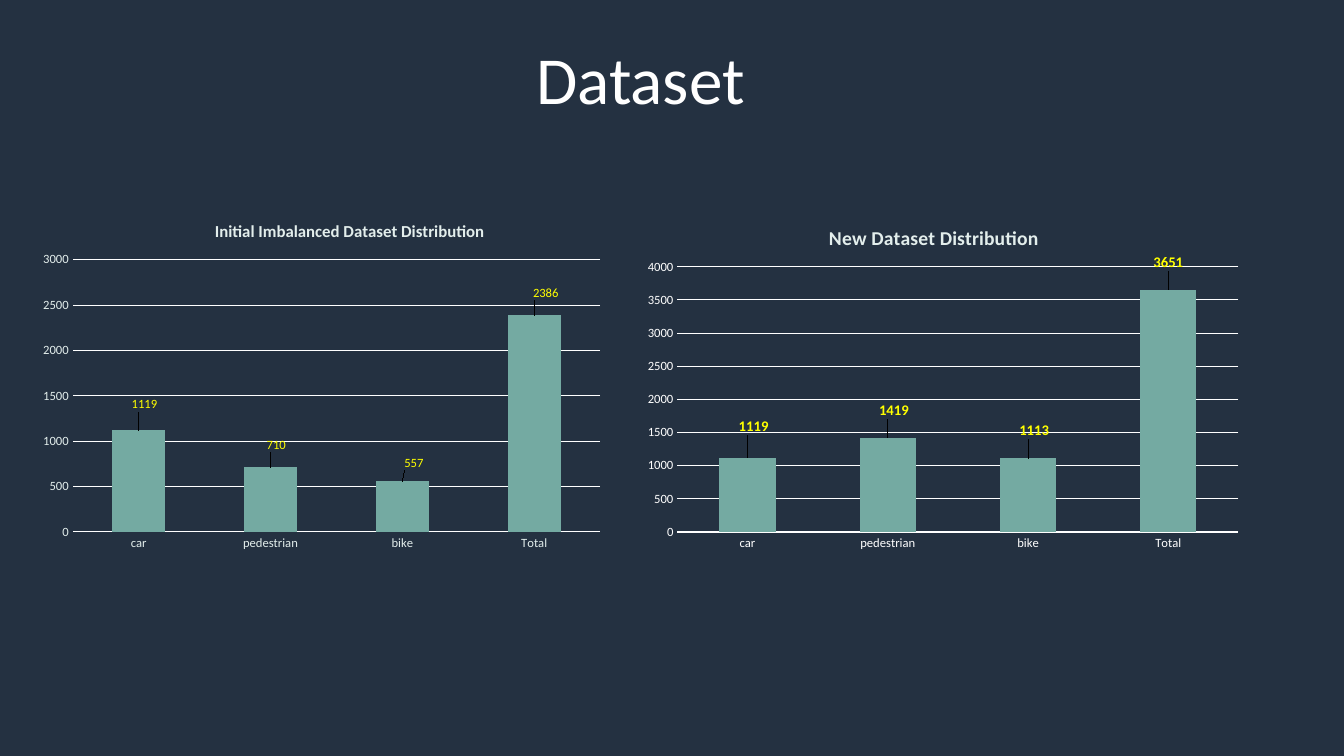
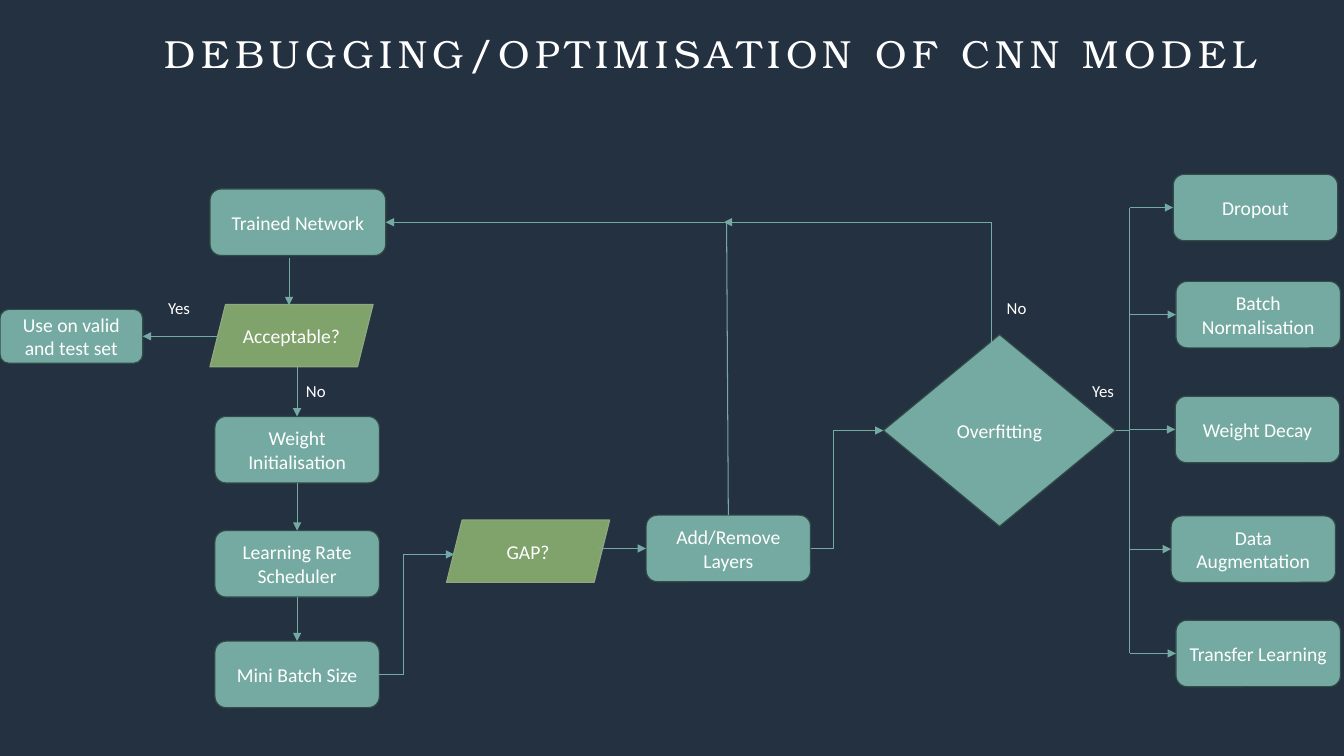
from dataclasses import dataclass
from typing import Any

from lxml.etree import SubElement
from pptx import Presentation
from pptx.chart.data import CategoryChartData
from pptx.dml.color import RGBColor
from pptx.enum.chart import XL_CHART_TYPE, XL_LABEL_POSITION, XL_TICK_MARK
from pptx.enum.shapes import MSO_CONNECTOR, MSO_SHAPE
from pptx.enum.text import MSO_ANCHOR, PP_ALIGN
from pptx.oxml import parse_xml
from pptx.oxml.ns import nsdecls, qn
from pptx.util import Pt

NAVY = RGBColor(0x24, 0x31, 0x41)
WHITE = RGBColor(0xFF, 0xFF, 0xFF)
MIST = RGBColor(0xE3, 0xEE, 0xEC)
TEAL = RGBColor(0x74, 0xAA, 0xA2)
TEAL_EDGE = RGBColor(0x33, 0x4B, 0x47)
GREEN = RGBColor(0x80, 0xA2, 0x6B)
GREEN_EDGE = RGBColor(0x8F, 0xA8, 0x80)
YELLOW = RGBColor(0xFF, 0xFF, 0x00)

BODY_FONT = "Calibri"
TITLE_FONT = "TeX Gyre Bonum"
TOP, LEFT, BOTTOM, RIGHT = range(4)
STEP_SIZE = (117.5, 47.5)
DECISION_SIZE = (116.5, 44.5)


@dataclass
class Side:
    """Middle of one side of a shape, where a connector joins."""
    shape: Any
    site: int

    @property
    def point(self):
        across, down = ((0.5, 0), (0, 0.5), (0.5, 1), (1, 0.5))[self.site]
        shape = self.shape
        return ((shape.left + across * shape.width) / Pt(1),
                (shape.top + down * shape.height) / Pt(1))


def style_font(font, size, color, name=BODY_FONT, bold=False):
    font.size, font.name, font.bold = Pt(size), name, bold
    font.color.rgb = color


def write(frame, text, *, size, color=WHITE, font=BODY_FONT, bold=False,
          align=None, tracking=0):
    paragraph = frame.paragraphs[0]
    paragraph.alignment = align
    run = paragraph.add_run()
    run.text = text
    style_font(run.font, size, color, font, bold)
    if tracking:
        run._r.get_or_add_rPr().set("spc", str(tracking * 100))


def set_layout(parent, index, x, y, size=None):
    """Place a chart part by fractions; without a size, x and y are as given."""
    for old in parent.findall(qn("c:layout")):
        parent.remove(old)
    layout = parse_xml(f"<c:layout {nsdecls('c')}><c:manualLayout/></c:layout>")
    values = {"x": x, "y": y}
    if size:
        values = {"layoutTarget": "inner", "xMode": "edge", "yMode": "edge",
                  **values, "w": size[0], "h": size[1]}
    elif parent.tag == qn("c:title"):
        values = {"xMode": "edge", "yMode": "edge", **values}
    for tag, value in values.items():
        SubElement(layout[0], qn(f"c:{tag}")).set("val", str(value))
    parent.insert(index, layout)


class Deck:
    def __init__(self):
        self.presentation = Presentation()
        self.presentation.slide_width = Pt(960)
        self.presentation.slide_height = Pt(540)
        backdrop = self.presentation.slide_master.background.fill
        backdrop.solid()
        backdrop.fore_color.rgb = NAVY
        self.slide = None

    def new_slide(self):
        self.slide = self.presentation.slides.add_slide(
            self.presentation.slide_layouts[6])

    def text(self, text, left, top, width, height, inset=True, **style):
        frame = self.slide.shapes.add_textbox(
            Pt(left), Pt(top), Pt(width), Pt(height)).text_frame
        frame.word_wrap = True
        if not inset:
            frame.margin_left = frame.margin_right = 0
            frame.margin_top = frame.margin_bottom = 0
        write(frame, text, **style)

    def node(self, text, left, top, size=STEP_SIZE,
             kind=MSO_SHAPE.ROUNDED_RECTANGLE, fill=TEAL, edge=TEAL_EDGE):
        node = self.slide.shapes.add_shape(
            kind, Pt(left), Pt(top), Pt(size[0]), Pt(size[1]))
        node.shadow.inherit = False
        node.fill.solid()
        node.fill.fore_color.rgb = fill
        node.line.color.rgb = edge
        node.line.width = Pt(0.85)
        frame = node.text_frame
        frame.word_wrap = True
        frame.vertical_anchor = MSO_ANCHOR.MIDDLE
        write(frame, text, size=14, align=PP_ALIGN.CENTER)
        return node

    def decision(self, text, left, top):
        return self.node(text, left, top, DECISION_SIZE,
                         MSO_SHAPE.PARALLELOGRAM, GREEN, GREEN_EDGE)

    def link(self, start, end, arrow=True):
        """Draw a line between two points, each an (x, y) pair or a Side."""
        points = [at.point if isinstance(at, Side) else at for at in (start, end)]
        link = self.slide.shapes.add_connector(
            MSO_CONNECTOR.STRAIGHT, *(Pt(value) for xy in points for value in xy))
        if isinstance(start, Side):
            link.begin_connect(start.shape, start.site)
        if isinstance(end, Side):
            link.end_connect(end.shape, end.site)
        link.line.color.rgb = TEAL
        link.line.width = Pt(0.75)
        if arrow:
            SubElement(link.line._get_or_add_ln(), qn("a:tailEnd"), type="triangle")
        SubElement(link._element.spPr, qn("a:effectLst"))

    def column_chart(self, title, values, left, width, *, title_size, title_at,
                     plot_at, plot_size, axis_color, axis_line, top_value,
                     label_size, label_bold, label_shifts):
        data = CategoryChartData()
        data.categories = ["car", "pedestrian", "bike", "Total"]
        data.add_series("Series 1", values)
        chart = self.slide.shapes.add_chart(
            XL_CHART_TYPE.COLUMN_CLUSTERED, Pt(left), Pt(142), Pt(width), Pt(256),
            data).chart
        style_font(chart.font, 10, WHITE)
        chart.has_legend = False
        chart.has_title = True
        write(chart.chart_title.text_frame, title, size=title_size, color=MIST,
              bold=True)
        set_layout(chart.element.xpath(".//c:title")[0], 1, *title_at)
        set_layout(chart.element.xpath(".//c:plotArea")[0], 0, *plot_at, plot_size)

        for axis in (chart.category_axis, chart.value_axis):
            axis.major_tick_mark = axis.minor_tick_mark = XL_TICK_MARK.NONE
            style_font(axis.tick_labels.font, 9, axis_color)
            axis.format.line.fill.background()
        if axis_line:
            chart.category_axis.format.line.color.rgb = WHITE
            chart.category_axis.format.line.width = Pt(1)
        scale = chart.value_axis
        scale.minimum_scale, scale.maximum_scale = 0, top_value
        scale.major_unit = 500
        scale.has_major_gridlines = True
        scale.major_gridlines.format.line.color.rgb = WHITE
        scale.major_gridlines.format.line.width = Pt(0.75)

        plot = chart.plots[0]
        plot.gap_width = 150
        plot.vary_by_categories = False
        columns = plot.series[0]
        columns.format.fill.solid()
        columns.format.fill.fore_color.rgb = TEAL
        for index in range(len(values)):
            label = columns.points[index].data_label
            style_font(label.font, label_size, YELLOW, bold=label_bold)
            label.position = XL_LABEL_POSITION.OUTSIDE_END
        for label, shift in zip(chart.element.xpath(".//c:dLbl"), label_shifts):
            set_layout(label, 1, *shift)


def build_dataset(deck):
    deck.new_slide()
    deck.text("Dataset", 376, 23, 584, 65.5, size=48)
    deck.column_chart(
        "New Dataset Distribution", (1119, 1419, 1113, 3651), 453, 440.5,
        title_size=14, title_at=(0.31, 0.06),
        plot_at=(0.07, 0.19), plot_size=(0.91, 0.74),
        axis_color=WHITE, axis_line=True, top_value=4000,
        label_size=10.5, label_bold=True,
        label_shifts=((0.01, -0.05), (0.01, -0.04), (0.01, -0.04), (0, -0.04)))
    deck.column_chart(
        "Initial Imbalanced Dataset Distribution", (1119, 710, 557, 2386), 23, 414,
        title_size=12, title_at=(0.31, 0.05),
        plot_at=(0.07, 0.17), plot_size=(0.91, 0.76),
        axis_color=MIST, axis_line=False, top_value=3000,
        label_size=9, label_bold=False,
        label_shifts=((0.01, -0.04), (0.01, -0.03), (0.02, -0.02), (0.02, -0.03)))


def build_debugging(deck):
    deck.new_slide()
    deck.text("DEBUGGING/OPTIMISATION OF CNN MODEL", 117.5, 21, 790, 52,
              inset=False, size=28, font=TITLE_FONT, tracking=4)

    trained = deck.node("Trained Network", 150, 135, (125.5, 47.5))
    deck.decision("Acceptable?", 150, 217.5)
    in_use = deck.node("Use on valid and test set", 0, 221, (102, 38.5))
    weights, rate, batch = [
        deck.node(text, 153.5, top) for text, top in (
            ("Weight Initialisation", 297.5),
            ("Learning Rate Scheduler", 379),
            ("Mini Batch Size", 458))]
    deck.decision("GAP?", 319, 371.5)
    layers = deck.node("Add/Remove Layers", 461.5, 368)
    overfitting = deck.node("Overfitting", 631, 239, (166, 137), MSO_SHAPE.DIAMOND)

    # Training column
    deck.link((206.5, 184.5), (206.5, 218))
    deck.link((155.5, 240.25), Side(in_use, RIGHT))
    deck.link((212.25, 262.5), Side(weights, TOP))
    deck.link(Side(weights, BOTTOM), Side(rate, TOP))
    deck.link(Side(rate, BOTTOM), Side(batch, TOP))

    # Batch size to overfitting
    deck.link(Side(batch, RIGHT), (288.5, 481.75), arrow=False)
    deck.link((288.5, 481.75), (288.5, 396), arrow=False)
    deck.link((288.5, 396), (324.5, 396))
    deck.link((427, 391.75), Side(layers, LEFT))
    deck.link(Side(layers, RIGHT), (595.5, 391.75), arrow=False)
    deck.link((595.5, 391.75), (595.5, 307.5), arrow=False)
    deck.link((595.5, 307.5), Side(overfitting, LEFT))

    # Return to the trained network
    return_y = 158.75
    deck.link(Side(layers, TOP), (519, return_y), arrow=False)
    deck.link((517, return_y), Side(trained, RIGHT))
    deck.link((708.5, return_y), (517, return_y))
    deck.link((708.5, return_y), (708.5, 245), arrow=False)

    # Remedies for overfitting
    trunk_x = 807
    remedies = [deck.node(text, left, top) for text, left, top in (
        ("Dropout", 838, 124.5),
        ("Batch Normalisation", 840, 201),
        ("Weight Decay", 839.5, 283),
        ("Data Augmentation", 836.5, 368.5),
        ("Transfer Learning", 840, 443))]
    entries = [Side(remedy, LEFT) for remedy in remedies]
    for entry in entries:
        deck.link((trunk_x, entry.point[1]), entry)
    deck.link((trunk_x, entries[0].point[1]), (trunk_x, entries[-1].point[1]),
              arrow=False)
    deck.link(Side(overfitting, RIGHT), (trunk_x, 307.5), arrow=False)

    for answer, left, top, width in (("No", 712, 209, 76), ("No", 211.5, 268.5, 41),
                                     ("Yes", 113, 209, 76), ("Yes", 773, 268.5, 76)):
        deck.text(answer, left, top, width, 21.5, size=12)


def main():
    deck = Deck()
    build_dataset(deck)
    build_debugging(deck)
    deck.presentation.save("out.pptx")


if __name__ == "__main__":
    main()
